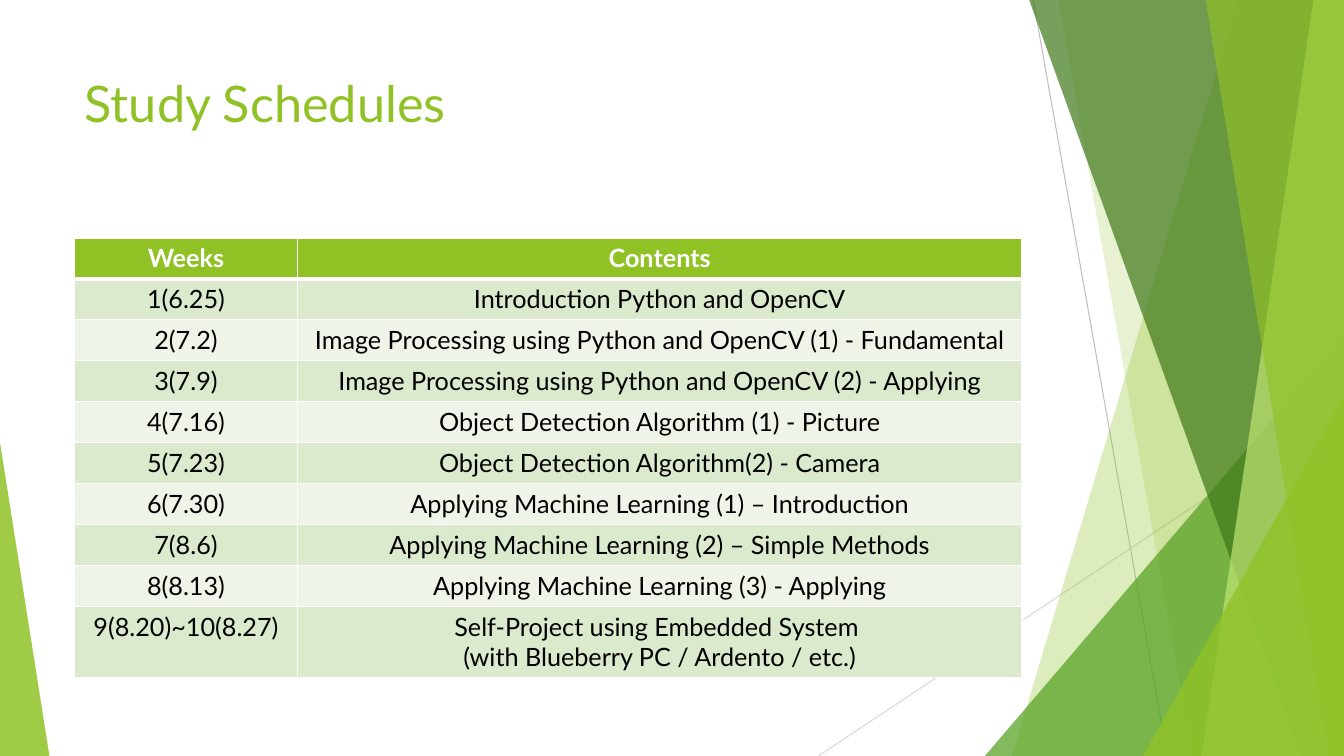
from dataclasses import dataclass

import lxml.etree
import pptx
import pptx.dml.color
import pptx.enum.shapes
import pptx.enum.text
import pptx.oxml
import pptx.oxml.ns
import pptx.util


@dataclass(frozen=True)
class Theme:
    font: str = "Lato"
    title_size: int = 36
    table_size: int = 18
    lime: str = "90C226"
    green: str = "54A021"
    forest: str = "3F7819"
    pale_lime: str = "C0E474"
    white: str = "FFFFFF"
    black: str = "000000"
    bands: tuple = ("DBE9CD", "EEF4E8")


theme = Theme()
presentation = pptx.Presentation()
presentation.slide_width = pptx.util.Inches(13.33)
presentation.slide_height = pptx.util.Inches(7.5)
slide = presentation.slides.add_slide(presentation.slide_layouts[5])
shapes = slide.shapes


def place(across, down):
    """Turn percentages of the slide's width and height into lengths."""
    return (round(presentation.slide_width * across / 100),
            round(presentation.slide_height * down / 100))


def format_text(text_frame, size, color, alignment, bold=False):
    for paragraph in text_frame.paragraphs:
        paragraph.alignment = alignment
        for run in paragraph.runs:
            run.font.name = theme.font
            run.font.size = pptx.util.Pt(size)
            run.font.bold = bold
            run.font.color.rgb = pptx.dml.color.RGBColor.from_string(color)


# Thin lines behind the facets
for start, end, color in [((76.88, 0), (86.85, 100), "BFBFBF"),
                          ((100, 53.73), (60.9, 100), "D9D9D9")]:
    connector = shapes.add_connector(
        pptx.enum.shapes.MSO_CONNECTOR.STRAIGHT, *place(*start), *place(*end))
    connector.line.width = pptx.util.Pt(0.75)
    connector.line.color.rgb = pptx.dml.color.RGBColor.from_string(color)
    lxml.etree.SubElement(connector.element.spPr, pptx.oxml.ns.qn("a:effectLst"))

# Translucent facets, back to front
# Bands: left edge at the top and at the bottom, running to the right edge
# Triangles: left, top, width and apex position, standing on the bottom edge
facets = [
    ("band", (92.1, 75.3), theme.lime, 30),
    ("band", (78.75, 88.73), theme.lime, 20),
    ("triangle", (73.28, 44.4, 26.72, 1), theme.green, 72),
    ("band", (76.58, 96.83), theme.forest, 70),
    ("band", (97.73, 89.4), theme.pale_lime, 70),
    ("band", (89.7, 98.85), theme.lime, 65),
    ("triangle", (85.05, 52.4, 14.95, 1), theme.lime, 80),
    ("triangle", (0, 58.53, 3.68, 0), theme.lime, 85),
]
for kind, geometry, color, opacity in facets:
    if kind == "band":
        top_left, bottom_left = geometry
        builder = shapes.build_freeform(*place(top_left, 0))
        builder.add_line_segments(
            [place(100, 0), place(100, 100), place(bottom_left, 100)], close=True)
        facet = builder.convert_to_shape()
    else:
        left, top, width, apex = geometry
        facet = shapes.add_shape(
            pptx.enum.shapes.MSO_SHAPE.ISOSCELES_TRIANGLE,
            *place(left, top), *place(width, 100 - top))
        facet.adjustments[0] = apex
    facet.shadow.inherit = False
    facet.line.fill.background()
    facet.fill.solid()
    facet.fill.fore_color.rgb = pptx.dml.color.RGBColor.from_string(color)
    solid_color = facet.element.spPr.find(".//" + pptx.oxml.ns.qn("a:srgbClr"))
    lxml.etree.SubElement(solid_color, pptx.oxml.ns.qn("a:alpha"),
                          val=str(opacity * 1000))

# Title
title = shapes.title
title.left, title.top = place(5.55, 8.93)
title.width, title.height = place(70.5, 19.2)
title.text_frame.text = "Study Schedules"
title.text_frame.vertical_anchor = pptx.enum.text.MSO_ANCHOR.TOP
format_text(title.text_frame, theme.title_size, theme.lime,
            pptx.enum.text.PP_ALIGN.LEFT)

# Schedule table
schedule = [
    ("Weeks", "Contents"),
    ("1(6.25)", "Introduction Python and OpenCV"),
    ("2(7.2)", "Image Processing using Python and OpenCV (1) - Fundamental"),
    ("3(7.9)", "Image Processing using Python and OpenCV (2) - Applying"),
    ("4(7.16)", "Object Detection Algorithm (1) - Picture"),
    ("5(7.23)", "Object Detection Algorithm(2) - Camera"),
    ("6(7.30)", "Applying Machine Learning (1) – Introduction"),
    ("7(8.6)", "Applying Machine Learning (2) – Simple Methods"),
    ("8(8.13)", "Applying Machine Learning (3) - Applying"),
    ("9(8.20)~10(8.27)",
     "Self-Project using Embedded System \n(with Blueberry PC / Ardento / etc.)"),
]
table_width, table_height = place(70.5, 58)
weeks_width, last_height = place(16.58, 9.2)
table = shapes.add_table(len(schedule), 2, *place(5.55, 31.47),
                         table_width, table_height).table
table.columns[0].width = weeks_width
table.columns[1].width = table_width - weeks_width
for row in table.rows:
    row.height = (table_height - last_height) // (len(schedule) - 1)
table.rows[len(schedule) - 1].height = last_height

for row_index, entries in enumerate(schedule):
    is_header = row_index == 0
    fill_color = theme.lime if is_header else theme.bands[(row_index - 1) % 2]
    text_color = theme.white if is_header else theme.black
    for column_index, entry in enumerate(entries):
        cell = table.cell(row_index, column_index)
        cell.text_frame.text = entry
        format_text(cell.text_frame, theme.table_size, text_color,
                    pptx.enum.text.PP_ALIGN.CENTER, bold=is_header)

        # White borders, thicker between the header and the first week
        properties = cell._tc.get_or_add_tcPr()
        for side in "LRTB":
            thick = (row_index, side) in [(0, "B"), (1, "T")]
            properties.append(pptx.oxml.parse_xml(
                f'<a:ln{side} {pptx.oxml.ns.nsdecls("a")} '
                f'w="{pptx.util.Pt(3 if thick else 1)}"><a:solidFill>'
                f'<a:srgbClr val="{theme.white}"/></a:solidFill></a:ln{side}>'))
        cell.fill.solid()
        cell.fill.fore_color.rgb = pptx.dml.color.RGBColor.from_string(fill_color)

presentation.save("out.pptx")
